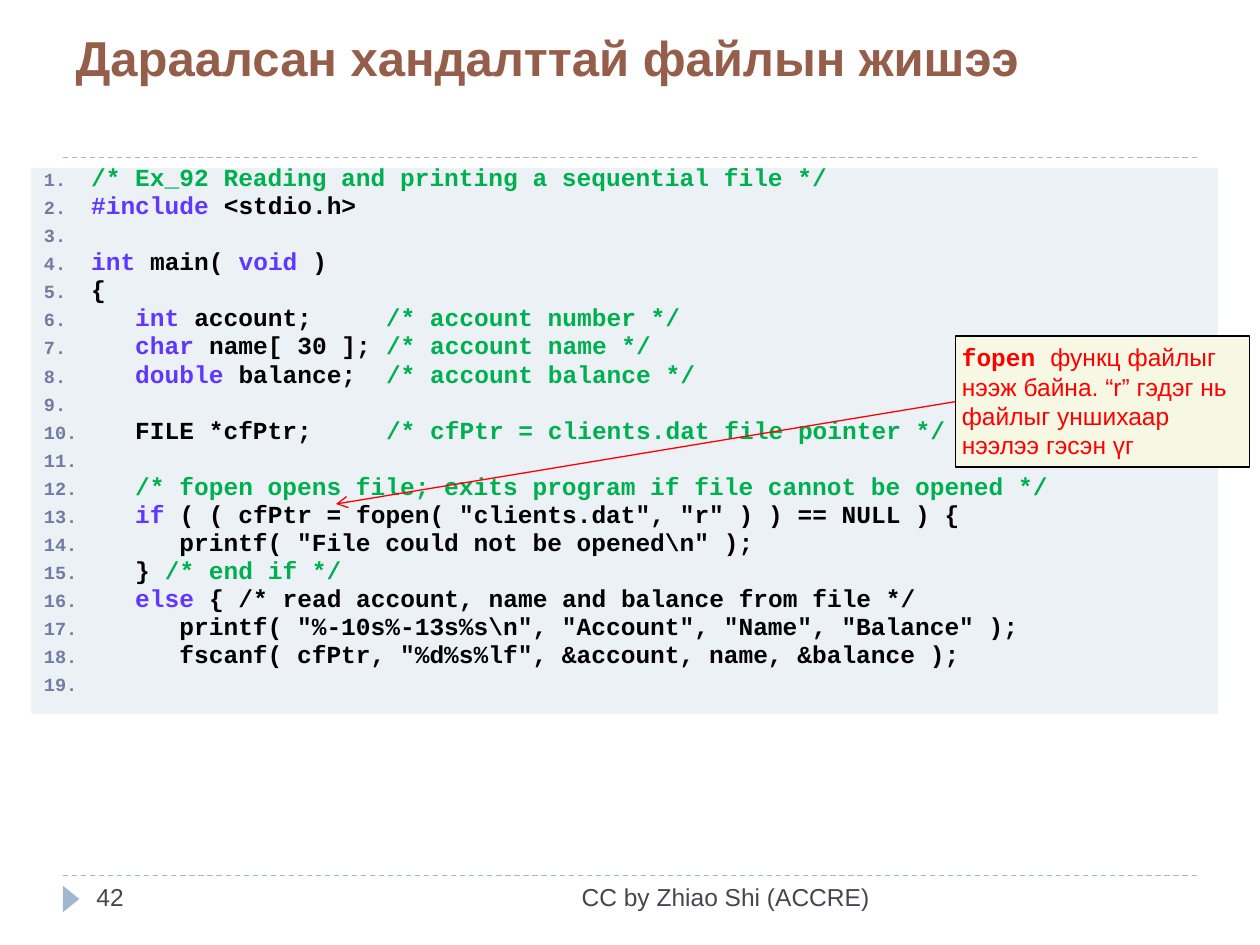
from lxml import etree
from pptx import Presentation
from pptx.dml.color import RGBColor
from pptx.enum import dml, shapes, text
from pptx.oxml import ns
from pptx.util import Pt

THEME = {
    "title": "955E4B", "rule": "9FB8CD", "footer": "464653",
    "panel": "ECF1F5", "number": "727CA3",
    "code": "000000", "keyword": "5F37FF", "comment": "00B050",
    "note": "FF0000", "note_fill": "F6F8E4", "note_line": "000000",
    "sans": "Arial", "mono": "Courier New",
    "title_size": Pt(28), "text_size": Pt(14),
}
CODE, KEYWORD, COMMENT = "code", "keyword", "comment"
CODE_LINES = [
    [(COMMENT, "/* Ex_92 Reading and printing a sequential file */")],
    [(KEYWORD, "#include "), (CODE, "<stdio.h>")],
    [(CODE, " ")],
    [(KEYWORD, "int"), (CODE, " main( "), (KEYWORD, "void"), (CODE, " )")],
    [(CODE, "{")],
    [(KEYWORD, "   int"), (CODE, " account; "), (COMMENT, "    /* account number */")],
    [(KEYWORD, "   char"), (CODE, " name[ 30 ]; "), (COMMENT, "/* account name */")],
    [(KEYWORD, "   double"), (CODE, " balance;  "), (COMMENT, "/* account balance */")],
    [(CODE, " ")],
    [(CODE, "   FILE *cfPtr;     "), (COMMENT, "/* cfPtr = clients.dat file pointer */")],
    [(CODE, " ")],
    [(COMMENT, "   /* fopen opens file; exits program if file cannot be opened */")],
    [(KEYWORD, "   if"), (CODE, ' ( ( cfPtr = fopen( "clients.dat", "r" ) ) == NULL ) {')],
    [(CODE, '      printf( "File could not be opened\\n" );')],
    [(CODE, "   } "), (COMMENT, "/* end if */")],
    [(KEYWORD, "   else"), (CODE, " { /* read account, name and balance from file */")],
    [(CODE, '      printf( "%-10s%-13s%s\\n", "Account", "Name", "Balance" );')],
    [(CODE, '      fscanf( cfPtr, "%d%s%lf", &account, name, &balance );')],
    [(CODE, " ")],
]


def color(name):
    return RGBColor.from_string(THEME[name])


def add_line(start, end, color_name):
    """Add a thin straight connector without a shadow."""
    line = slide.shapes.add_connector(
        shapes.MSO_CONNECTOR.STRAIGHT, *(Pt(value) for value in start + end))
    line.line.color.rgb = color(color_name)
    line.line.width = Pt(0.75)
    etree.SubElement(line._element.spPr, ns.qn("a:effectLst"))
    return line


presentation = Presentation()
presentation.slide_width, presentation.slide_height = Pt(720), Pt(540)
slide = presentation.slides.add_slide(presentation.slide_layouts[5])

# Dashed rules and the footer marker
for y in (500.4, 90):
    add_line((36, y), (684, y), "rule").line.dash_style = dml.MSO_LINE.DASH

marker = slide.shapes.add_shape(
    shapes.MSO_SHAPE.ISOSCELES_TRIANGLE, Pt(33.1), Pt(509), Pt(15.1), Pt(9.4))
marker.rotation = 90
marker.shadow.inherit = False
marker.fill.solid()
marker.fill.fore_color.rgb = color("rule")
marker.line.fill.background()

# Title
title = slide.shapes.title
title.left, title.top, title.width, title.height = Pt(36), Pt(12.2), Pt(648), Pt(77.8)
title.text_frame.text = "Дараалсан хандалттай файлын жишээ"
title.text_frame.vertical_anchor = text.MSO_ANCHOR.TOP
paragraph = title.text_frame.paragraphs[0]
paragraph.alignment = text.PP_ALIGN.LEFT
paragraph.font.name, paragraph.font.size = THEME["sans"], THEME["title_size"]
paragraph.font.bold = True
paragraph.font.color.rgb = color("title")

# Slide number and credit
for left, width, words, alignment in (
    (48, 156, "42", text.PP_ALIGN.LEFT),
    (228, 276, "CC by Zhiao Shi (ACCRE)", text.PP_ALIGN.RIGHT),
):
    footer = slide.shapes.add_textbox(Pt(left), Pt(500.4), Pt(width), Pt(28.8))
    footer.text_frame.word_wrap = True
    paragraph = footer.text_frame.paragraphs[0]
    paragraph.text = words
    paragraph.alignment = alignment
    paragraph.font.name, paragraph.font.size = THEME["sans"], THEME["text_size"]
    paragraph.font.color.rgb = color("footer")

# Numbered code listing
listing = slide.shapes.add_shape(
    shapes.MSO_SHAPE.RECTANGLE, Pt(18), Pt(96), Pt(678), Pt(312))
listing.shadow.inherit = False
listing.fill.solid()
listing.fill.fore_color.rgb = color("panel")
listing.line.fill.background()
frame = listing.text_frame
frame.word_wrap = True
frame.vertical_anchor = text.MSO_ANCHOR.TOP
for index, runs in enumerate(CODE_LINES):
    paragraph = frame.add_paragraph() if index else frame.paragraphs[0]
    properties = paragraph._p.get_or_add_pPr()
    properties.set("marL", str(Pt(27)))
    properties.set("indent", str(-Pt(27)))
    bullet_color = etree.SubElement(properties, ns.qn("a:buClr"))
    etree.SubElement(bullet_color, ns.qn("a:srgbClr"), val=THEME["number"])
    etree.SubElement(properties, ns.qn("a:buSzPct"), val="76000")
    etree.SubElement(properties, ns.qn("a:buFont"), typeface=THEME["mono"])
    etree.SubElement(properties, ns.qn("a:buAutoNum"), type="arabicPeriod")
    paragraph.alignment = text.PP_ALIGN.LEFT
    paragraph.line_spacing = Pt(10)
    paragraph.space_before = Pt(6 if index else 0)
    paragraph.font.name, paragraph.font.size = THEME["mono"], THEME["text_size"]
    paragraph.font.bold = True
    for color_name, words in runs:
        run = paragraph.add_run()
        run.text = words
        run.font.color.rgb = color(color_name)

# Callout with its arrow
note = slide.shapes.add_shape(
    shapes.MSO_SHAPE.RECTANGLE, Pt(546), Pt(192), Pt(168), Pt(75))
note.shadow.inherit = False
note.fill.solid()
note.fill.fore_color.rgb = color("note_fill")
note.line.color.rgb = color("note_line")
note.line.width = Pt(0.75)
frame = note.text_frame
frame.word_wrap = True
frame.auto_size = text.MSO_AUTO_SIZE.SHAPE_TO_FIT_TEXT
frame.vertical_anchor = text.MSO_ANCHOR.TOP
frame.margin_left = frame.margin_right = frame.margin_top = frame.margin_bottom = Pt(3.6)
paragraph = frame.paragraphs[0]
paragraph.alignment = text.PP_ALIGN.LEFT
paragraph.font.size = THEME["text_size"]
paragraph.font.color.rgb = color("note")
for words, font_name, bold in (
    ("fopen ", "mono", True),
    ("функц файлыг нээж байна. “r” гэдэг нь файлыг уншихаар нээлээ гэсэн үг", "sans", False),
):
    run = paragraph.add_run()
    run.text = words
    run.font.name, run.font.bold = THEME[font_name], bold

arrow = add_line((546, 229.5), (192, 288), "note")
arrow.begin_connect(note, 1)
etree.SubElement(arrow.line._get_or_add_ln(), ns.qn("a:tailEnd"), type="arrow")

presentation.save("out.pptx")
